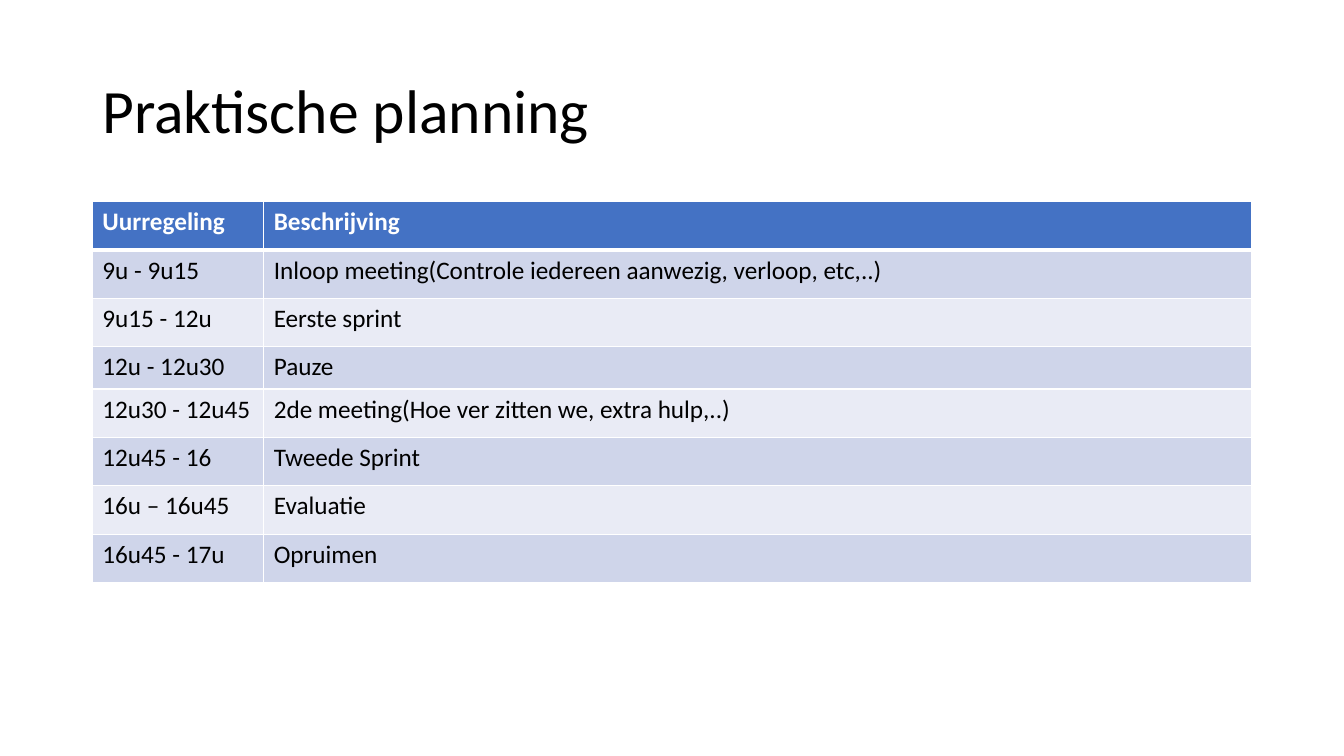
import dataclasses
import pptx
import pptx.dml.color
import pptx.enum.text
import pptx.oxml
import pptx.oxml.ns
import pptx.util

Pt = pptx.util.Pt
RGB = pptx.dml.color.RGBColor.from_string


@dataclasses.dataclass(frozen=True)
class Theme:
    font: str = "Calibri"
    title: int = 44
    body: int = 18
    dark: str = "000000"
    light: str = "FFFFFF"
    head: str = "4472C4"
    bands: tuple = ("CFD5EA", "E9EBF5")
    thin: int = 1
    thick: int = 3


THEME = Theme()
PLAN = [
    ("Uurregeling", "Beschrijving"),
    ("9u - 9u15", "Inloop meeting(Controle iedereen aanwezig, verloop, etc,..)"),
    ("9u15 - 12u", "Eerste sprint"),
    ("12u - 12u30", "Pauze"),
    ("12u30 - 12u45", "2de meeting(Hoe ver zitten we, extra hulp,..)"),
    ("12u45 - 16", "Tweede Sprint"),
    ("16u – 16u45", "Evaluatie"),
    ("16u45 - 17u", "Opruimen"),
]


def write(frame, text, size=THEME.body, color=THEME.dark, bold=False, space=1.0):
    para = frame.paragraphs[0]
    para.line_spacing = space
    run = para.add_run()
    run.text = text
    run.font.name = THEME.font
    run.font.size = Pt(size)
    run.font.bold = bold
    run.font.color.rgb = RGB(color)


def edge(cell, side, width):
    line = pptx.oxml.parse_xml(
        f'<a:ln{side} {pptx.oxml.ns.nsdecls("a")} w="{Pt(width)}">'
        f'<a:solidFill><a:srgbClr val="{THEME.light}"/></a:solidFill></a:ln{side}>'
    )
    cell._tc.get_or_add_tcPr().append(line)


def add_title(slide, left, top, width, height):
    box = slide.shapes.add_textbox(Pt(left), Pt(top), Pt(width), Pt(height))
    frame = box.text_frame
    frame.word_wrap = True
    frame.vertical_anchor = pptx.enum.text.MSO_ANCHOR.MIDDLE
    write(frame, "Praktische planning", size=THEME.title, space=0.9)


def add_plan(slide, left, top, width, height):
    first, short = 122.4, 30.24
    tall = (height - short) / (len(PLAN) - 1)
    table = slide.shapes.add_table(
        len(PLAN), 2, Pt(left), Pt(top), Pt(width), Pt(height)
    ).table
    table.columns[0].width = Pt(first)
    table.columns[1].width = Pt(width - first)
    for i, texts in enumerate(PLAN):
        head = i == 0
        table.rows[i].height = Pt(short if texts[1] == "Pauze" else tall)
        for j, text in enumerate(texts):
            cell = table.cell(i, j)
            edge(cell, "L", THEME.thin)
            edge(cell, "R", THEME.thin)
            edge(cell, "T", THEME.thick if i == 1 else THEME.thin)
            edge(cell, "B", THEME.thick if head else THEME.thin)
            cell.fill.solid()
            cell.fill.fore_color.rgb = RGB(THEME.head if head else THEME.bands[(i - 1) % 2])
            write(cell.text_frame, text, color=THEME.light if head else THEME.dark, bold=head)


def main():
    deck = pptx.Presentation()
    deck.slide_width, deck.slide_height = Pt(960), Pt(540)
    slide = deck.slides.add_slide(deck.slide_layouts[6])
    left, width = 66, 828
    add_title(slide, left, 28.75, width, 104.4)
    add_plan(slide, left, 144, width, 272.16)
    deck.save("out.pptx")


if __name__ == "__main__":
    main()
